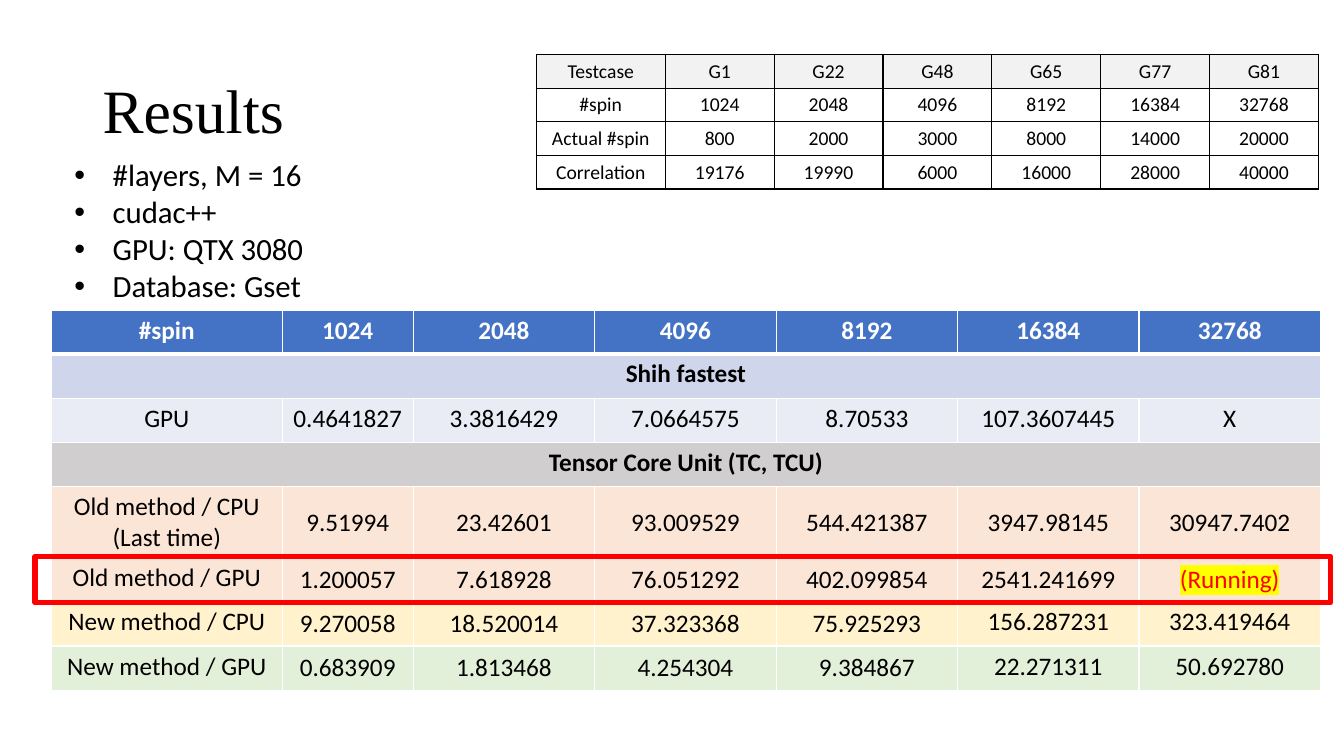
from pptx import Presentation
from pptx.dml.color import RGBColor as RGB
from pptx.enum.shapes import MSO_SHAPE as Shape
from pptx.enum.text import MSO_ANCHOR as Anchor, PP_ALIGN as Align
from pptx.oxml import parse_xml
from pptx.oxml.ns import nsdecls
from pptx.util import Inches, Pt

BLACK = RGB(0, 0, 0)
WHITE = RGB(255, 255, 255)
RED = RGB(255, 0, 0)
GREY = RGB(0xF2, 0xF2, 0xF2)
BLUE = RGB(0x44, 0x72, 0xC4)
SKY = RGB(0xCF, 0xD5, 0xEA)
PALE = RGB(0xE9, 0xEB, 0xF5)
STONE = RGB(0xD0, 0xCE, 0xCE)
PEACH = RGB(0xFB, 0xE5, 0xD6)
CREAM = RGB(0xFF, 0xF2, 0xCC)
MINT = RGB(0xE2, 0xF0, 0xD9)

UNIT = Inches(0.1)
NS = nsdecls("a")


def grid(*steps):
    return [round(step * UNIT) for step in steps]


def ink(frame, size, color=BLACK, bold=False, name="Calibri"):
    for para in frame.paragraphs:
        for run in para.runs:
            font = run.font
            font.size, font.bold, font.name = Pt(size), bold, name
            font.color.rgb = color


deck = Presentation()
deck.slide_width, deck.slide_height = grid(133.33, 75)
slide = deck.slides.add_slide(deck.slide_layouts[6])
shapes = slide.shapes

title = shapes.add_textbox(*grid(9.2, 4, 115, 14.5)).text_frame
title.word_wrap = True
title.vertical_anchor = Anchor.MIDDLE
title.text = "Results"
title.paragraphs[0].line_spacing = 0.9
ink(title, 44, name="Times New Roman")

notes = shapes.add_textbox(*grid(6.4, 15, 24.8, 15.8)).text_frame
notes.word_wrap = False
notes.text = "#layers, M = 16\ncudac++\nGPU: QTX 3080\nDatabase: Gset"
indent = Inches(0.38)
for para in notes.paragraphs:
    props = para._p.get_or_add_pPr()
    props.set("marL", str(indent))
    props.set("indent", str(-indent))
    props.append(parse_xml(f'<a:buFont {NS} typeface="Arial"/>'))
    props.append(parse_xml(f'<a:buChar {NS} char="•"/>'))
ink(notes, 22)

cases = [
    ["Testcase", "G1", "G22", "G48", "G65", "G77", "G81"],
    ["#spin", "1024", "2048", "4096", "8192", "16384", "32768"],
    ["Actual #spin", "800", "2000", "3000", "8000", "14000", "20000"],
    ["Correlation", "19176", "19990", "6000", "16000", "28000", "40000"],
]
times = [
    ["#spin", "1024", "2048", "4096", "8192", "16384", "32768"],
    ["Shih fastest"],
    ["GPU", "0.4641827", "3.3816429", "7.0664575", "8.70533", "107.3607445", "X"],
    ["Tensor Core Unit (TC, TCU)"],
    ["Old method / CPU\n(Last time)", "9.51994", "23.42601", "93.009529",
     "544.421387", "3947.98145", "30947.7402"],
    ["Old method / GPU", "1.200057", "7.618928", "76.051292", "402.099854",
     "2541.241699", "(Running)"],
    ["New method / CPU", "9.270058", "18.520014", "37.323368", "75.925293",
     "156.287231", "323.419464"],
    ["New method / GPU", "0.683909", "1.813468", "4.254304", "9.384867",
     "22.271311", "50.692780"],
]
plans = [
    (cases, (53.2, 5.4, 77.8, 13.3), [12.8] + [10.8] * 6, [3.33] * 4,
     [GREY, None, None, None], BLACK, 14),
    (times, (5.1, 30.8, 125.9, 37.8), [22.9, 13] + [18] * 5,
     [4.3] + [4.4] * 3 + [6.8] + [4.4] * 3,
     [BLUE, SKY, PALE, STONE, PEACH, PEACH, CREAM, MINT], WHITE, 18),
]

for data, place, widths, heights, fills, edge, size in plans:
    main = data is times
    table = shapes.add_table(len(data), 7, *grid(*place)).table
    for col, width in zip(table.columns, grid(*widths)):
        col.width = width
    for line, height in zip(table.rows, grid(*heights)):
        line.height = height
    for r, row in enumerate(data):
        if len(row) == 1:
            table.cell(r, 0).merge(table.cell(r, 6))
        for c in range(7):
            cell = table.cell(r, c)
            props = cell._tc.get_or_add_tcPr()
            for side in "LRTB":
                thick = 3 if main and (r, side) in ((0, "B"), (1, "T")) else 1
                props.append(parse_xml(
                    f'<a:ln{side} {NS} w="{Pt(thick)}"><a:solidFill>'
                    f'<a:srgbClr val="{edge}"/></a:solidFill></a:ln{side}>'))
            if fills[r] is None:
                cell.fill.background()
            else:
                cell.fill.solid()
                cell.fill.fore_color.rgb = fills[r]
            if c >= len(row):
                continue
            frame = cell.text_frame
            frame.text = row[c]
            for para in frame.paragraphs:
                para.alignment = Align.CENTER
            head = main and r == 0
            ink(frame, size, WHITE if head else BLACK, head or len(row) == 1)
            old = main and r in (4, 5) and c > 0
            new = main and r > 5 and 0 < c < 5
            if old or new or not main:
                cell.vertical_anchor = Anchor.MIDDLE
            if old or new:
                cell.margin_left = cell.margin_right = Inches(0.01 if old else 0.05)
                cell.margin_top = Inches(0.01 if old else 0)
                cell.margin_bottom = 0
            if row[c] == "(Running)":
                run = frame.paragraphs[0].runs[0]
                run.font.color.rgb = RED
                run._r.rPr.find("{*}solidFill").addnext(parse_xml(
                    f'<a:highlight {NS}><a:srgbClr val="FFFF00"/></a:highlight>'))

frame = shapes.add_shape(Shape.RECTANGLE, *grid(3.5, 55.2, 128.5, 4.6))
frame.shadow.inherit = False
frame.fill.background()
frame.line.color.rgb = RED
frame.line.width = Pt(4)

deck.save("out.pptx")
